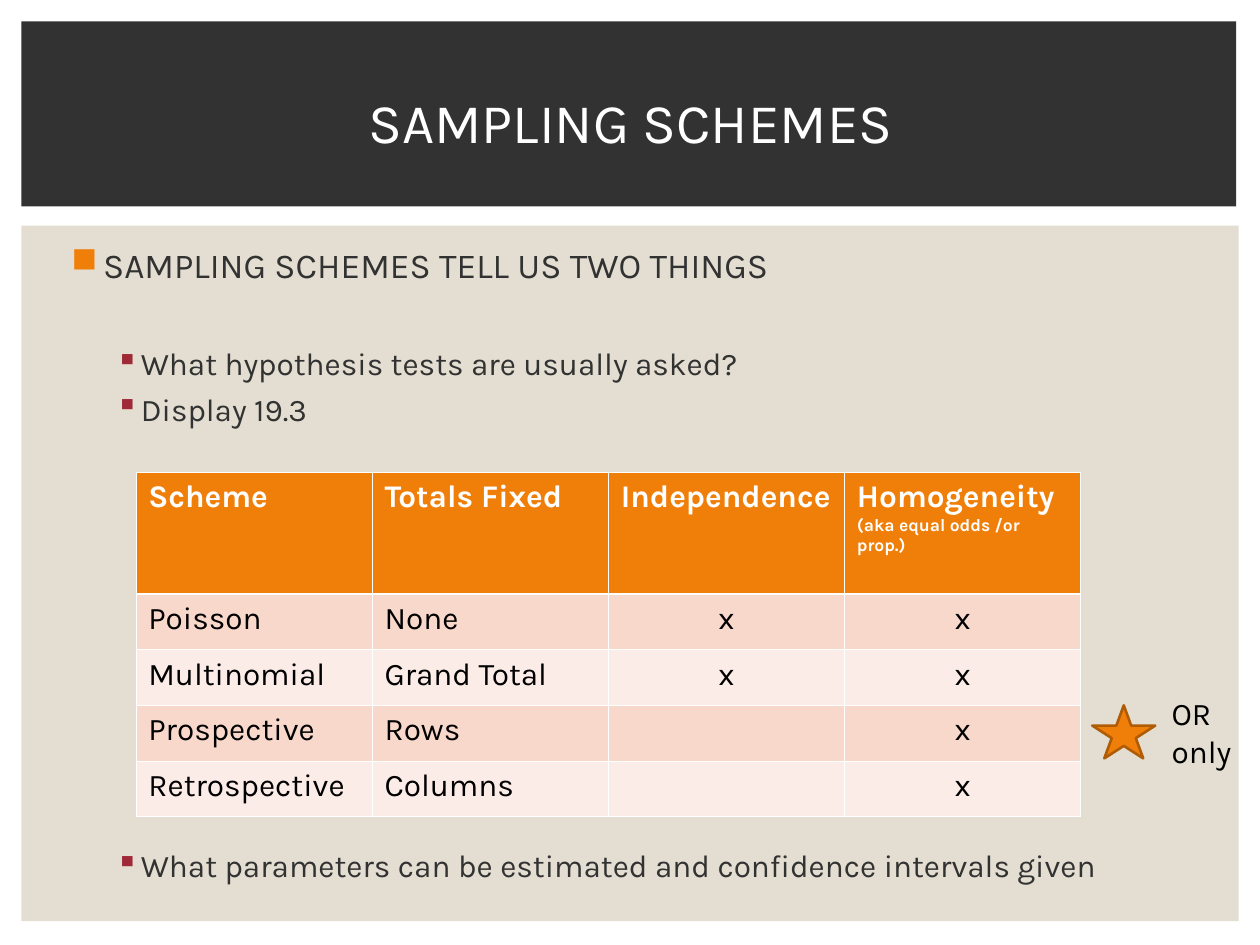
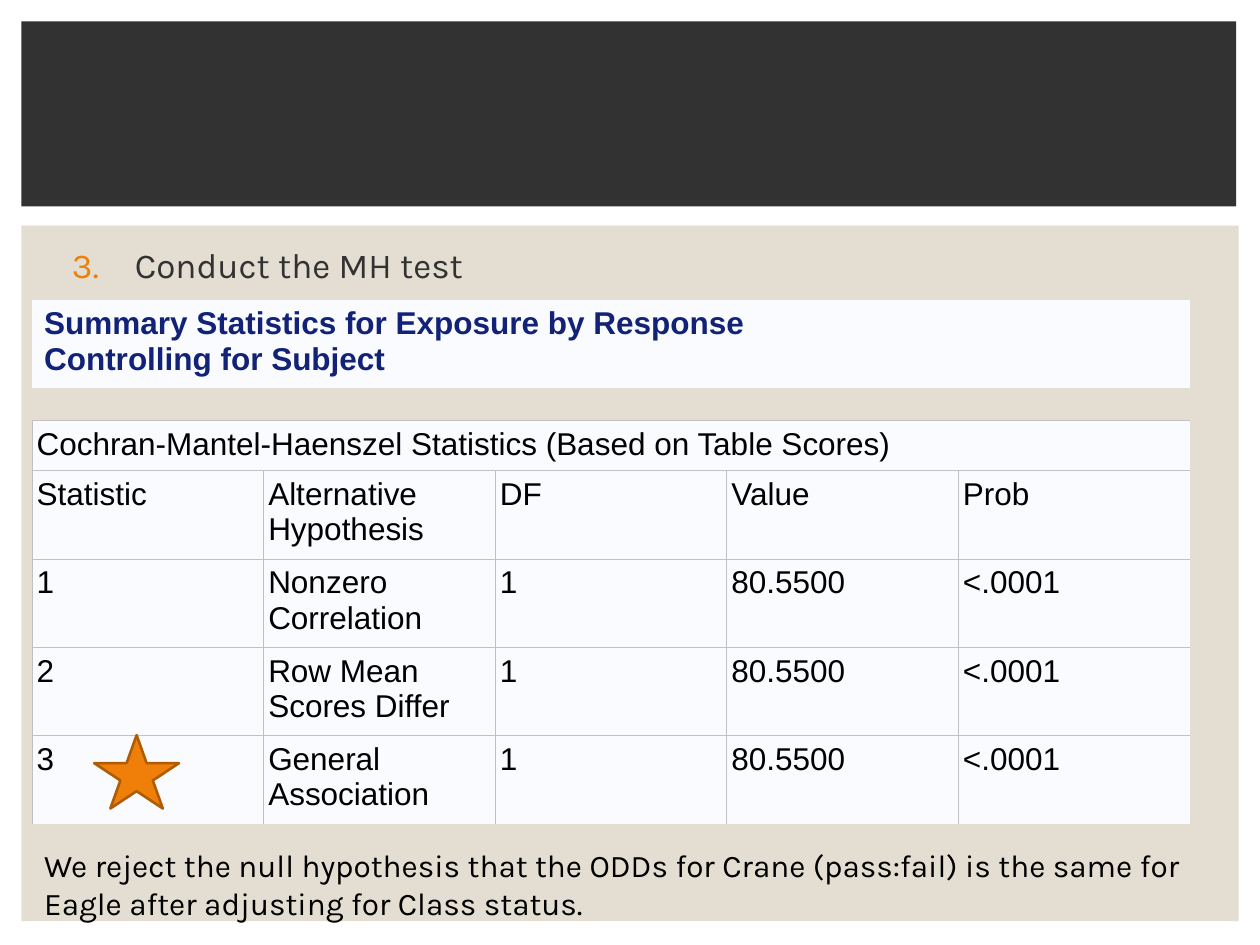
import dataclasses

import lxml.etree
import pptx
import pptx.dml.color
import pptx.enum.shapes
import pptx.enum.text
import pptx.oxml.ns
import pptx.util

Cm, Pt = pptx.util.Cm, pptx.util.Pt
RGB = pptx.dml.color.RGBColor.from_string
qn = pptx.oxml.ns.qn
SHAPE = pptx.enum.shapes.MSO_SHAPE
ALIGN = pptx.enum.text.PP_ALIGN
ANCHOR = pptx.enum.text.MSO_ANCHOR


@dataclasses.dataclass(frozen=True)
class Theme:
    font: str = "Karla"
    data_font: str = "Arial"
    dark: str = "323232"
    sand: str = "E3DED1"
    white: str = "FFFFFF"
    black: str = "000000"
    orange: str = "F07F09"
    rust: str = "B05C05"
    red: str = "9F2936"
    navy: str = "112277"
    pale: str = "FAFBFE"
    grey: str = "C1C1C1"
    stripes: tuple = ("F9D8CC", "FCECE7")
    title: int = 32
    lead: int = 20
    body: int = 18
    note: int = 10


T = Theme()

TITLE = "SAMPLING SCHEMES"
LEAD = "SAMPLING SCHEMES TELL US TWO THINGS"
# text and space before it; the last gap leaves room for the table
POINTS = [
    ("What hypothesis tests are usually asked?", 33.5),
    ("Display 19.3", 4.5),
    ("What parameters can be estimated and confidence intervals given", 239.4),
]
SCHEMES = [
    ["Scheme", "Totals Fixed", "Independence",
     [("Homogeneity ", T.body), ("(aka equal odds /or prop.)", T.note)]],
    ["Poisson", "None", "x", "x"],
    ["Multinomial", "Grand Total", "x", "x"],
    ["Prospective", "Rows", "", "x"],
    ["Retrospective", "Columns", "", "x"],
]
STAR_NOTE = "OR only"

STEP = "Conduct the MH test"
SUMMARY = [["Summary Statistics for Exposure by Response\nControlling for Subject"]]
STATS = [
    ["Cochran-Mantel-Haenszel Statistics (Based on Table Scores)", "", "", "", ""],
    ["Statistic", "Alternative Hypothesis", "DF", "Value", "Prob"],
    *([str(n), name, "1", "80.5500", "<.0001"] for n, name in enumerate(
        ["Nonzero Correlation", "Row Mean Scores Differ", "General Association"], 1)),
]
RESULT = ("We reject the null hypothesis that the ODDs for Crane (pass:fail) "
          "is the same for Eagle after adjusting for Class status.")


def node(parent, tag, **attrs):
    return lxml.etree.SubElement(parent, qn(tag), **attrs)


def write(frame, text, size=T.body, color=T.black, font=T.font, bold=False,
          align=None, before=0, bullet=None, tint=None, indent=None, start=None):
    """Add a paragraph; text is a string or a list of (string, size)."""
    para = frame.paragraphs[0]
    if para.runs:
        para = frame.add_paragraph()
    para.alignment = align
    para.space_before = Pt(before)
    para.font.size = Pt(size)
    for part, points in [(text, size)] if isinstance(text, str) else text:
        for k, line in enumerate(part.split("\n")):
            if k:
                para.add_line_break()
            run = para.add_run()
            run.text = line
            run.font.size, run.font.name, run.font.bold = Pt(points), font, bold
            run.font.color.rgb = RGB(color)
    if indent:
        props = para._p.get_or_add_pPr()
        left, hang = indent
        props.set("marL", str(Cm(left)))
        props.set("indent", str(-Cm(hang)))
        node(node(props, "a:buClr"), "a:srgbClr", val=tint)
        if start:
            node(props, "a:buAutoNum", type="arabicPeriod", startAt=str(start))
        else:
            node(props, "a:buChar", char=bullet)


def box(slide, x, y, w, h, anchor=ANCHOR.TOP):
    frame = slide.shapes.add_textbox(Cm(x), Cm(y), Cm(w), Cm(h)).text_frame
    frame.word_wrap = True
    frame.vertical_anchor = anchor
    return frame


def shape(slide, kind, x, y, w, h, fill, line=None):
    item = slide.shapes.add_shape(kind, Cm(x), Cm(y), Cm(w), Cm(h))
    item.shadow.inherit = False
    item.fill.solid()
    item.fill.fore_color.rgb = RGB(fill)
    if line:
        item.line.color.rgb = RGB(line)
        item.line.width = Pt(1.5)
    else:
        item.line.fill.background()


def star(slide, x, y, w, h):
    shape(slide, SHAPE.STAR_5_POINT, x, y, w, h, T.orange, T.rust)


def edge(cell, sides):
    """Draw the sides L, R, T, B, each None or (colour, points)."""
    props = cell._tc.get_or_add_tcPr()
    for k, side in enumerate("LRTB"):
        line = node(props, "a:ln" + side)
        props.insert(k, line)
        if sides[side]:
            color, points = sides[side]
            line.set("w", str(Pt(points)))
            node(node(line, "a:solidFill"), "a:srgbClr", val=color)
        else:
            line.set("w", "0")
            node(line, "a:noFill")


def grid(slide, rows, x, y, w, heights, style, sides, pad=0.25, merge=False):
    """style(i, j) gives a cell's fill and text format, sides(i, j) its edges."""
    count = len(rows[0])
    table = slide.shapes.add_table(
        len(rows), count, Cm(x), Cm(y), Cm(w), Cm(sum(heights))).table
    for col in table.columns:
        col.width = Cm(w / count)
    if merge:
        table.cell(0, 0).merge(table.cell(0, count - 1))
    for i, row in enumerate(rows):
        table.rows[i].height = Cm(heights[i])
        for j, text in enumerate(row):
            cell = table.cell(i, j)
            fill, form = style(i, j)
            cell.fill.solid()
            cell.fill.fore_color.rgb = RGB(fill)
            cell.margin_left = cell.margin_right = Cm(pad)
            if text:
                write(cell.text_frame, text, **form)
            last = j + (cell.span_width if cell.is_merge_origin else 1) - 1
            edge(cell, sides(i, last))


def page(deck, title=None):
    slide = deck.slides.add_slide(deck.slide_layouts[6])
    shape(slide, SHAPE.RECTANGLE, 0.43, 4.55, 24.54, 14.02, T.sand)
    shape(slide, SHAPE.RECTANGLE, 0.43, 0.43, 24.49, 3.73, T.dark)
    if title:
        write(box(slide, 1.07, 0.99, 23.29, 2.92, ANCHOR.MIDDLE), title,
              size=T.title, color=T.white, align=ALIGN.CENTER)
    return slide


def schemes(deck):
    slide = page(deck, TITLE)
    frame = box(slide, 1.07, 4.78, 23.34, 13.84)
    write(frame, LEAD, size=T.lead, color=T.dark, before=5,
          bullet="■", tint=T.orange, indent=(0.76, 0.64))
    for text, gap in POINTS:
        write(frame, text, color=T.dark, before=gap,
              bullet="▪", tint=T.red, indent=(1.52, 0.51))

    def style(i, j):
        if i == 0:
            return T.orange, dict(color=T.white, bold=True)
        return T.stripes[(i - 1) % 2], dict(align=ALIGN.CENTER if j > 1 else None)

    def sides(i, j):
        thin, thick = (T.white, 0.45), (T.white, 1.47)
        return dict(L=thin, R=thin, T=thick if i == 1 else thin,
                    B=thick if i == 0 else thin)

    grid(slide, SCHEMES, 2.74, 9.52, 19.05, [2.46] + [1.12] * 4, style, sides)
    star(slide, 22.02, 14.22, 1.27, 1.07)
    write(box(slide, 23.37, 13.87, 2.34, 1.78), STAR_NOTE)


def test(deck):
    slide = page(deck)
    write(box(slide, 1.07, 4.78, 23.34, 12.24), STEP, size=T.lead, color=T.dark,
          before=5, tint=T.orange, indent=(1.4, 1.27), start=3)
    left, wide = 0.64, 23.34
    grid(slide, SUMMARY, left, 6.05, wide, [1.78],
         lambda i, j: (T.pale, dict(font=T.data_font, color=T.navy, bold=True)),
         lambda i, j: dict.fromkeys("LRTB"))

    def sides(i, j):
        """The right and bottom of the table stay open."""
        thin = (T.grey, 0.28)
        return dict(L=thin, T=thin, R=thin if j < len(STATS[0]) - 1 else None,
                    B=thin if i < len(STATS) - 1 else None)

    grid(slide, STATS, left, 8.47, wide, [1.01] + [1.78] * 4,
         lambda i, j: (T.pale, dict(font=T.data_font)), sides, pad=0.1, merge=True)
    star(slide, 1.9, 14.82, 1.71, 1.48)
    write(box(slide, left, 16.94, 23.93, 1.78), RESULT)


def main():
    deck = pptx.Presentation()
    deck.slide_width, deck.slide_height = Cm(25.4), Cm(19.05)
    schemes(deck)
    test(deck)
    deck.save("out.pptx")


if __name__ == "__main__":
    main()
